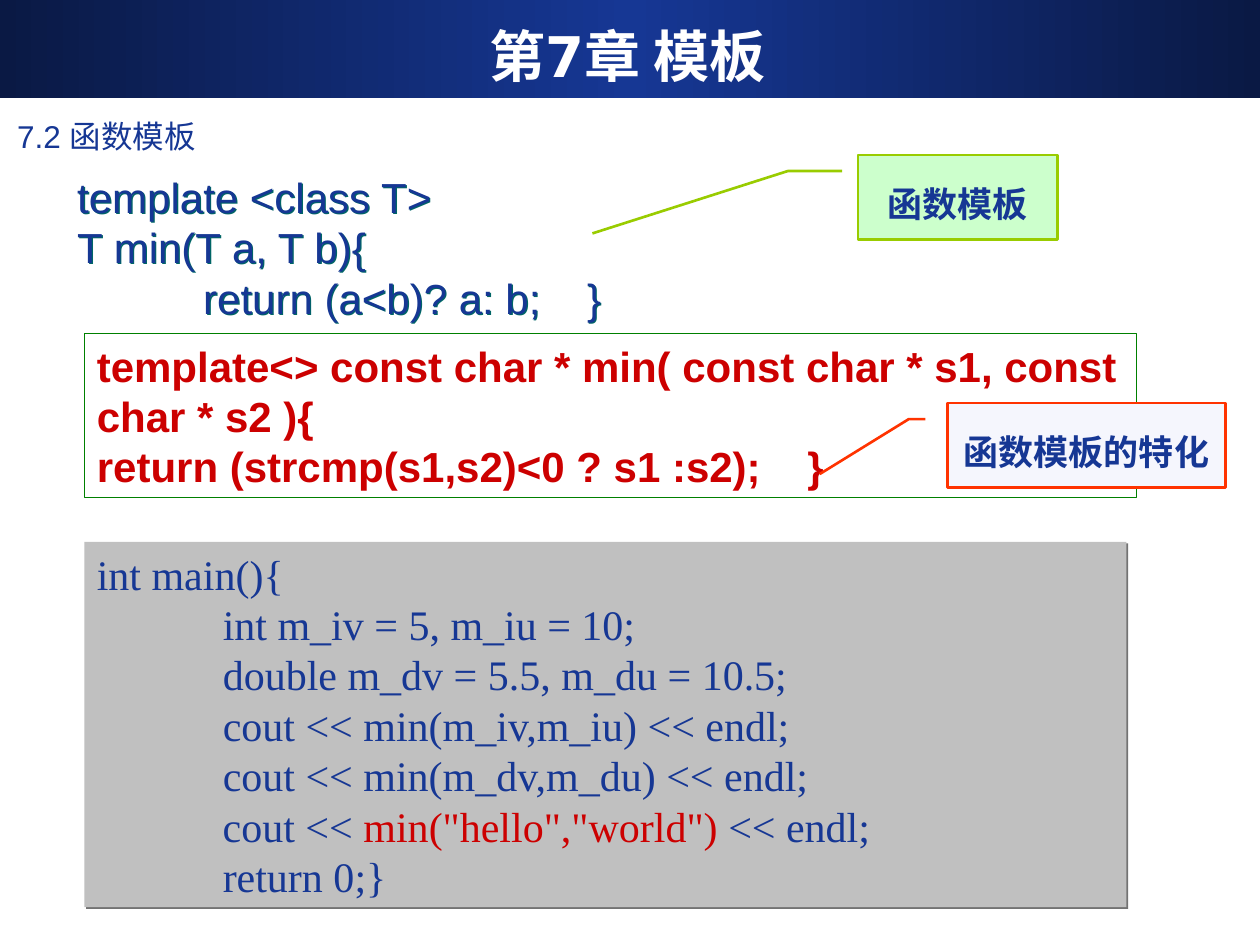
"""Build the slide on specialising a function template."""
from dataclasses import dataclass
from typing import Optional

from lxml.etree import SubElement
from pptx import Presentation
from pptx.dml.color import RGBColor
from pptx.enum.shapes import MSO_SHAPE
from pptx.enum.text import MSO_ANCHOR, MSO_AUTO_SIZE, PP_ALIGN
from pptx.oxml import parse_xml
from pptx.oxml.ns import nsdecls, qn
from pptx.util import Inches, Pt

COLUMNS, ROWS = 100, 75
SLIDE_WIDTH, SLIDE_HEIGHT = Inches(10), Inches(7.5)
TAB_COUNT = 8


@dataclass(frozen=True)
class Theme:
    navy: str = "163794"
    midnight: str = "0A1944"
    red: str = "CC0000"
    white: str = "FFFFFF"
    grey: str = "C0C0C0"
    grey_shadow: str = "737373"
    text_shadow: str = "006666"
    green: str = "008000"
    lime: str = "99CC00"
    mint: str = "CCFFCC"
    orange: str = "FF3300"
    pale: str = "F5F6FD"
    title_size: int = 32
    code_size: int = 24
    label_size: int = 20
    section_size: int = 18
    code_leading: float = 28.8


THEME = Theme()


@dataclass(frozen=True)
class Area:
    left: float
    top: float
    width: float
    height: float

    def emu(self) -> tuple:
        column, row = SLIDE_WIDTH / COLUMNS, SLIDE_HEIGHT / ROWS
        return (round(self.left * column), round(self.top * row),
                round(self.width * column), round(self.height * row))


@dataclass(frozen=True)
class Style:
    font: str
    size: int
    color: str = THEME.navy
    bold: bool = False
    align: PP_ALIGN = PP_ALIGN.LEFT
    anchor: MSO_ANCHOR = MSO_ANCHOR.TOP
    spacing: object = 1.0


@dataclass(frozen=True)
class Piece:
    text: str
    color: Optional[str] = None


@dataclass(frozen=True)
class Panel:
    area: Area
    style: Style
    lines: tuple
    fill: Optional[str] = None
    line: Optional[str] = None
    line_width: float = 0.75
    shadow: Optional[str] = None
    shadow_distance: float = 1.4
    callout: tuple = ()


LEADING = Pt(THEME.code_leading)
LABEL = Style("Times New Roman", THEME.label_size, bold=True, align=PP_ALIGN.CENTER, spacing=1.5)
TITLE = Style("DejaVu Sans", THEME.title_size, THEME.white, True, PP_ALIGN.CENTER, MSO_ANCHOR.MIDDLE)
SECTION = Style("Arial", THEME.section_size)

PANELS = (
    Panel(Area(5.15, 13.1, 87.4, 13),
          Style("Arial", THEME.code_size, anchor=MSO_ANCHOR.MIDDLE, spacing=LEADING),
          ("template <class T>", "T min(T a, T b){", "\treturn (a<b)? a: b;    }"),
          shadow=THEME.text_shadow, shadow_distance=1),
    Panel(Area(6.7, 43, 82.7, 29),
          Style("Times New Roman", THEME.code_size, anchor=MSO_ANCHOR.MIDDLE, spacing=LEADING),
          ("int main(){",
           "\tint m_iv = 5, m_iu = 10;",
           "\tdouble m_dv = 5.5, m_du = 10.5;",
           "\tcout << min(m_iv,m_iu) << endl;",
           "\tcout << min(m_dv,m_du) << endl;",
           (Piece("            cout << "), Piece('min("hello","world")', THEME.red), Piece(" << endl;")),
           "\treturn 0;}"),
          fill=THEME.grey, shadow=THEME.grey_shadow),
    Panel(Area(6.7, 26.5, 83.5, 13),
          Style("Arial", THEME.code_size, THEME.red, True, spacing=LEADING),
          ("template<> const char * min( const char * s1, const char * s2 ){",
           "return (strcmp(s1,s2)<0 ? s1 :s2);    }"),
          fill=THEME.white, line=THEME.green),
    Panel(Area(68.1, 12.3, 15.85, 6.7), LABEL, ("函数模板",), THEME.mint, THEME.lime, 1.5,
          callout=(0.19, -0.08, 0.19, -0.35, 0.93, -1.33)),
    Panel(Area(75.2, 32, 22.05, 6.7), LABEL, ("函数模板的特化",), THEME.pale, THEME.orange, 1.5,
          callout=(0.19, -0.08, 0.19, -0.14, 0.84, -0.46)),
)


def rgb(color: str) -> RGBColor:
    return RGBColor.from_string(color)


def set_tabs(paragraph) -> None:
    properties = paragraph._p.get_or_add_pPr()
    properties.set("marL", "0")
    properties.set("indent", "0")
    properties.set("defTabSz", str(int(Inches(1))))
    SubElement(properties, qn("a:buNone"))
    tabs = SubElement(properties, qn("a:tabLst"))
    for stop in range(TAB_COUNT):
        SubElement(tabs, qn("a:tab"), pos=str(int(Inches(stop))), algn="l")


def write(shape, lines: tuple, style: Style) -> None:
    frame = shape.text_frame
    frame.word_wrap = True
    frame.auto_size = MSO_AUTO_SIZE.NONE
    frame.vertical_anchor = style.anchor
    frame.margin_left = frame.margin_right = Inches(0.1)
    frame.margin_top = frame.margin_bottom = Inches(0.05)
    for index, line in enumerate(lines):
        paragraph = frame.add_paragraph() if index else frame.paragraphs[0]
        paragraph.alignment = style.align
        paragraph.line_spacing = style.spacing
        paragraph.space_before = paragraph.space_after = Pt(0)
        set_tabs(paragraph)
        for piece in (Piece(line),) if isinstance(line, str) else line:
            run = paragraph.add_run()
            run.text = piece.text
            run.font.name = style.font
            run.font.size = Pt(style.size)
            run.font.bold = style.bold
            run.font.color.rgb = rgb(piece.color or style.color)


def cast_shadow(shape, color: str, distance: float) -> None:
    shape._element.spPr.append(parse_xml(
        f'<a:effectLst {nsdecls("a")}><a:outerShdw dist="{int(Pt(distance))}" dir="2700000" algn="ctr" '
        f'rotWithShape="0"><a:srgbClr val="{color}"/></a:outerShdw></a:effectLst>'))


def draw_panel(slide, panel: Panel) -> None:
    if panel.fill:
        kind = MSO_SHAPE.LINE_CALLOUT_2 if panel.callout else MSO_SHAPE.RECTANGLE
        shape = slide.shapes.add_shape(kind, *panel.area.emu())
        shape.fill.solid()
        shape.fill.fore_color.rgb = rgb(panel.fill)
        if panel.line:
            shape.line.color.rgb = rgb(panel.line)
            shape.line.width = Pt(panel.line_width)
        else:
            shape.line.fill.background()
        for index, value in enumerate(panel.callout):
            shape.adjustments[index] = value
    else:
        shape = slide.shapes.add_textbox(*panel.area.emu())
    if panel.shadow:
        cast_shadow(shape, panel.shadow, panel.shadow_distance)
    elif panel.fill:
        shape.shadow.inherit = False
    write(shape, panel.lines, panel.style)


def draw_banner(slide, area: Area) -> None:
    banner = slide.shapes.add_shape(MSO_SHAPE.RECTANGLE, *area.emu())
    banner.shadow.inherit = False
    banner.line.fill.background()
    stops = "".join(f'<a:gs pos="{share * 1000}"><a:srgbClr val="{color}"/></a:gs>' for share, color in
                    ((0, THEME.midnight), (50, THEME.navy), (100, THEME.midnight)))
    banner._element.spPr.find(qn("a:prstGeom")).addnext(parse_xml(
        f'<a:gradFill {nsdecls("a")} rotWithShape="1"><a:gsLst>{stops}</a:gsLst>'
        '<a:lin ang="0" scaled="1"/></a:gradFill>'))
    banner._element.getparent().insert(2, banner._element)


def fill_placeholder(shape, area: Area, text: str, style: Style) -> None:
    shape.left, shape.top, shape.width, shape.height = area.emu()
    write(shape, (text,), style)


def main() -> None:
    presentation = Presentation()
    presentation.slide_width, presentation.slide_height = SLIDE_WIDTH, SLIDE_HEIGHT
    slide = presentation.slides.add_slide(presentation.slide_layouts[1])
    draw_banner(slide, Area(0, 0, COLUMNS, 7.8))
    fill_placeholder(slide.shapes.title, Area(3.55, 1.3, 92.5, 6.2), "第7章 模板", TITLE)
    fill_placeholder(slide.placeholders[1], Area(0.35, 8.8, 92.5, 4.1), "7.2 函数模板", SECTION)
    for panel in PANELS:
        draw_panel(slide, panel)
    presentation.save("out.pptx")


if __name__ == "__main__":
    main()
